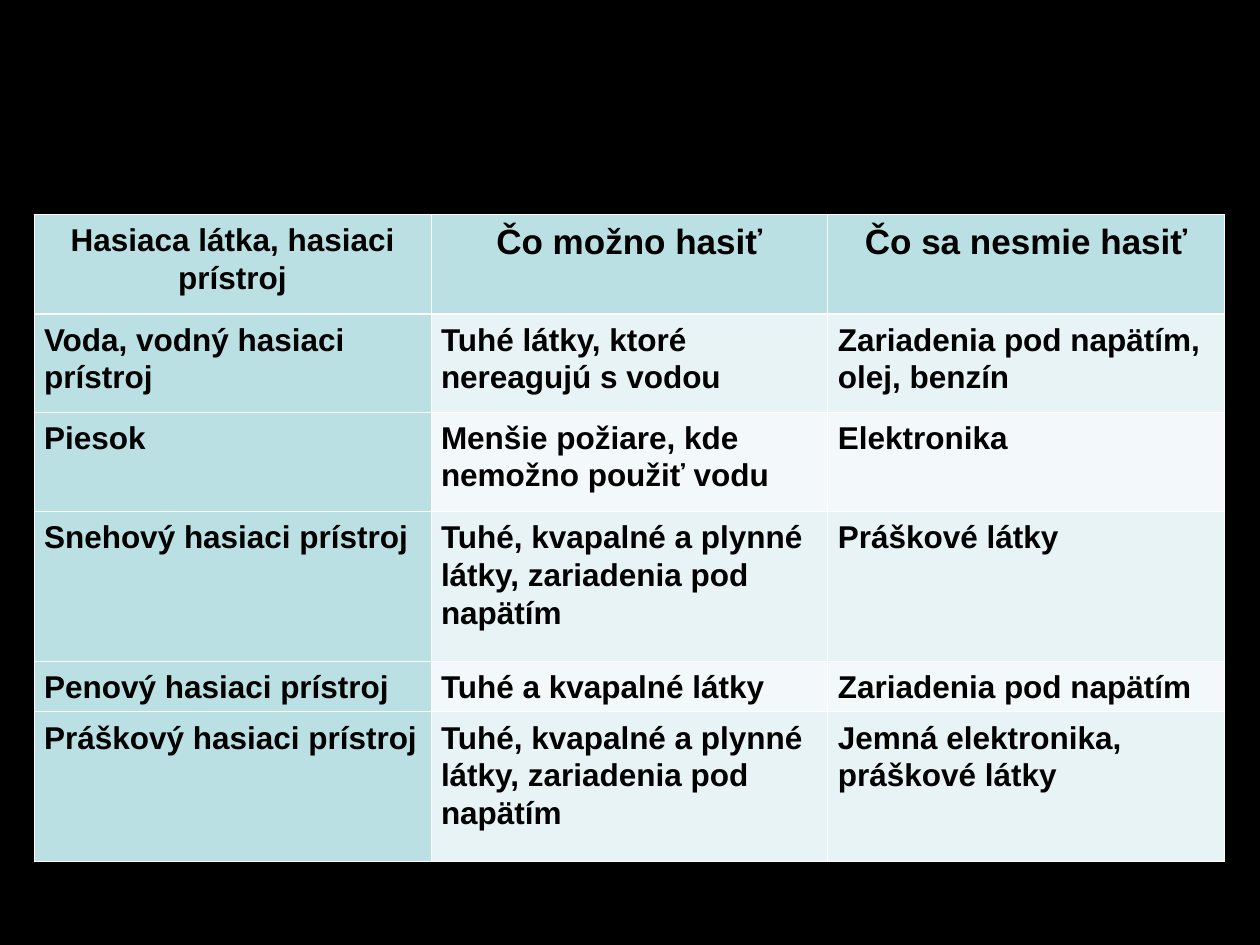
from lxml import etree
from pptx import Presentation
from pptx.dml.color import RGBColor
from pptx.enum.text import PP_ALIGN
from pptx.oxml.ns import qn
from pptx.util import Inches, Pt

CENTER, LEFT = PP_ALIGN.CENTER, PP_ALIGN.LEFT
BLANK_LAYOUT = 6

BLACK, WHITE = "000000", "FFFFFF"
HEADER_FILL = "BBE0E3"
BAND_FILLS = ("E7F3F4", "F3F9FA")
THIN, THICK = 0.45, 1.47

COL_WIDTH = 3.15
ROW_HEIGHTS = (0.79, 0.78, 0.79, 1.19, 0.4, 1.19)
ROWS = (
    ("Hasiaca látka, hasiaci prístroj", "Čo možno hasiť", "Čo sa nesmie hasiť"),
    ("Voda, vodný hasiaci prístroj", "Tuhé látky, ktoré nereagujú s vodou",
     "Zariadenia pod napätím, olej, benzín"),
    ("Piesok", "Menšie požiare, kde nemožno použiť vodu", "Elektronika"),
    ("Snehový hasiaci prístroj",
     "Tuhé, kvapalné a plynné látky, zariadenia pod napätím", "Práškové látky"),
    ("Penový hasiaci prístroj", "Tuhé a kvapalné látky", "Zariadenia pod napätím"),
    ("Práškový hasiaci prístroj",
     "Tuhé, kvapalné a plynné látky, zariadenia pod napätím",
     "Jemná elektronika, práškové látky"),
)


def rgb(color):
    return RGBColor.from_string(color)


def set_borders(cell, widths):
    """Draw white borders; widths are left, right, top and bottom in points."""
    tc_pr = cell._tc.get_or_add_tcPr()
    for i, (side, width) in enumerate(zip("LRTB", widths)):
        ln = etree.Element(qn(f"a:ln{side}"), w=str(Pt(width)))
        fill = etree.SubElement(ln, qn("a:solidFill"))
        etree.SubElement(fill, qn("a:srgbClr"), val=WHITE)
        tc_pr.insert(i, ln)


def fill_cell(cell, text, color, size, align):
    cell.fill.solid()
    cell.fill.fore_color.rgb = rgb(color)
    cell.margin_left = cell.margin_right = Inches(0.08)
    cell.margin_top = cell.margin_bottom = Inches(0.05)
    p = cell.text_frame.paragraphs[0]
    p.text = text
    p.alignment = align
    p.line_spacing = 1.07
    p.space_after = Pt(8)
    p.font.name = "Arial"
    p.font.size = Pt(size)
    p.font.bold = True
    p.font.color.rgb = rgb(BLACK)


def add_extinguisher_table(s):
    cols = len(ROWS[0])
    table = s.shapes.add_table(
        len(ROWS), cols, Inches(0.27), Inches(1.7),
        Inches(cols * COL_WIDTH), Inches(sum(ROW_HEIGHTS))).table
    for col in table.columns:
        col.width = Inches(COL_WIDTH)
    for r, (texts, height) in enumerate(zip(ROWS, ROW_HEIGHTS)):
        table.rows[r].height = Inches(height)
        header = r == 0
        for c, text in enumerate(texts):
            cell = table.cell(r, c)
            # Header row and first column share one fill, the rest is banded
            color = HEADER_FILL if header or c == 0 else BAND_FILLS[(r - 1) % 2]
            size = 20 if header and c > 0 else 18
            fill_cell(cell, text, color, size, CENTER if header else LEFT)
            set_borders(cell, (THIN, THIN, THICK if r == 1 else THIN,
                               THICK if header else THIN))


def main():
    prs = Presentation()
    prs.slide_width, prs.slide_height = Inches(10), Inches(7.5)
    s = prs.slides.add_slide(prs.slide_layouts[BLANK_LAYOUT])
    s.background.fill.solid()
    s.background.fill.fore_color.rgb = rgb(BLACK)
    add_extinguisher_table(s)
    prs.save("out.pptx")


if __name__ == "__main__":
    main()
